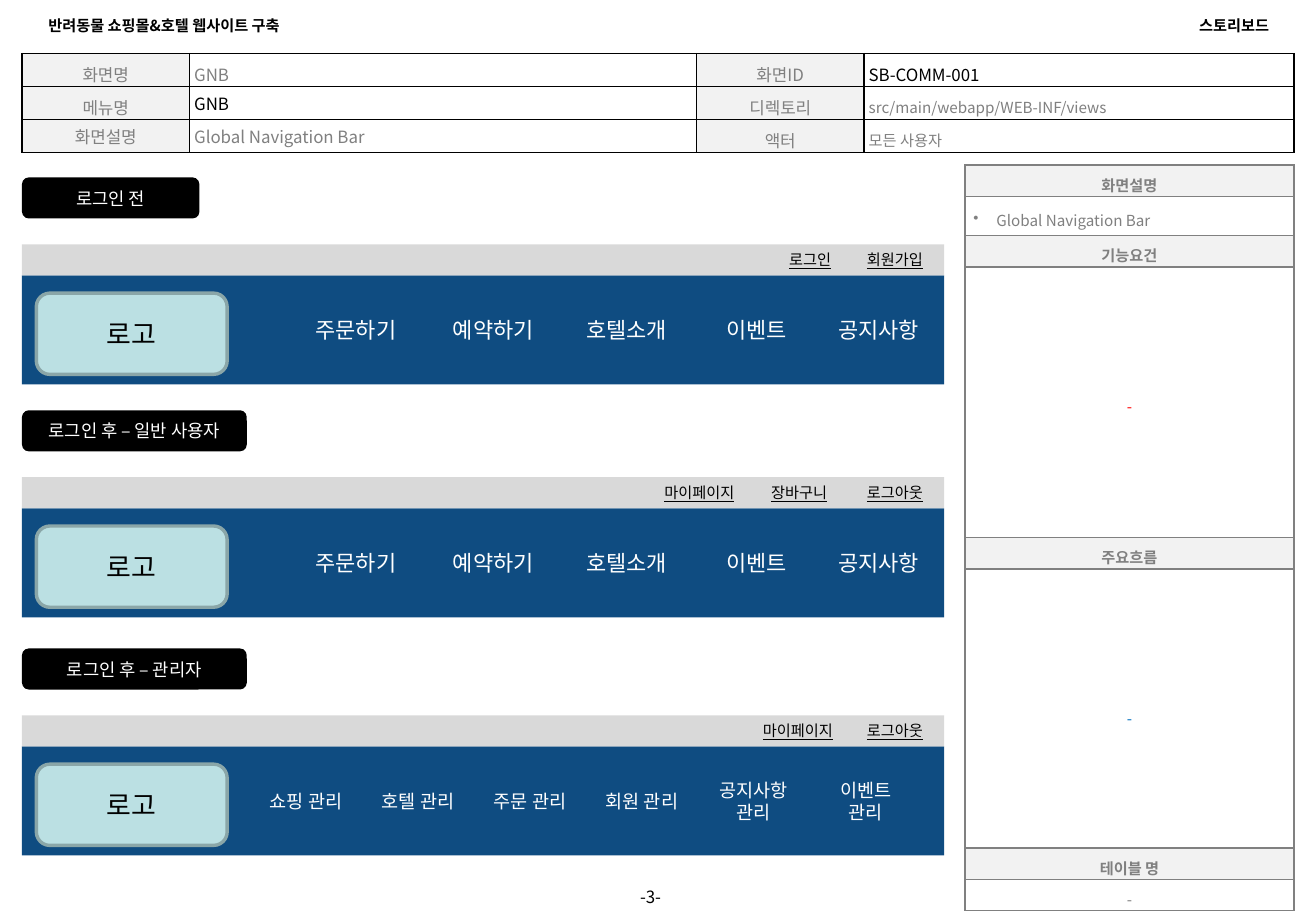
from lxml.etree import SubElement
from pptx import Presentation
from pptx.dml.color import RGBColor
from pptx.enum.shapes import MSO_SHAPE as SHAPE
from pptx.enum.text import MSO_ANCHOR as ANCHOR, MSO_AUTO_SIZE as AUTO, PP_ALIGN as ALIGN
from pptx.oxml.ns import qn
from pptx.util import Cm, Pt

FONT = "Noto Sans CJK KR"
COLORS = {
    "black": "000000", "white": "FFFFFF", "gray": "808080", "head": "F2F2F2",
    "strip": "D9D9D9", "navy": "0F4C81", "logo": "BBE0E3", "logo_line": "8AA6A8",
    "red": "FF0000", "blue": "0070C0",
}
LEFT = 0.46
BAR_W = 19.28

# Each entry: text, colour, size, space above the text in cm
INFO_ROWS = [
    [("화면명", "gray", 10, 0.16), ("GNB", "gray", 10, 0.16),
     ("화면ID", "gray", 10, 0.16), ("SB-COMM-001", "black", 10, 0.16)],
    [("메뉴명", "gray", 10, 0.16), ("GNB", "black", 10, 0),
     ("디렉토리", "gray", 10, 0.16), ("src/main/webapp/WEB-INF/views", "gray", 9, 0.16)],
    [("화면설명", "gray", 10, 0), ("Global Navigation Bar", "gray", 10, 0),
     ("액터", "gray", 10, 0.16), ("모든 사용자", "gray", 9, 0.16)],
]

# Each entry: text, colour, row height, kind
SPEC_ROWS = [
    ("화면설명", "gray", 0.66, "head"), ("Global Navigation Bar", "gray", 0.81, "bullet"),
    ("기능요건", "gray", 0.66, "head"), ("-", "red", 5.66, "body"),
    ("주요흐름", "gray", 0.66, "head"), ("-", "blue", 6.05, "body"),
]
TABLE_NAME_ROWS = [("테이블 명", "gray", 0.66, "head"), ("-", "gray", 0.66, "body")]

USER_MENU = [("주문하기", 6.25), ("예약하기", 9.12), ("호텔소개", 11.91),
             ("이벤트", 14.63), ("공지사항", 17.17)]
ADMIN_MENU = [(name, 5.21 + 2.34 * i) for i, name in enumerate(
    ["쇼핑 관리", "호텔 관리", "주문 관리", "회원 관리", "공지사항\n관리", "이벤트\n관리"])]

# Each entry: top, label, label width, links (text, left, width), menu, menu size
SECTIONS = [
    (3.71, "로그인 전", 3.71,
     [("로그인", 15.93, 2.01), ("회원가입", 17.7, 2.01)], USER_MENU, 13),
    (8.58, "로그인 후 – 일반 사용자", 4.7,
     [("마이페이지", 13.54, 2.16), ("장바구니", 15.7, 2.01), ("로그아웃", 17.7, 2.01)],
     USER_MENU, 13),
    (13.56, "로그인 후 – 관리자", 4.7,
     [("마이페이지", 15.6, 2.16), ("로그아웃", 17.7, 2.01)], ADMIN_MENU, 11),
]


def rgb(name):
    return RGBColor.from_string(COLORS[name])


def write(tf, text, size, color="black", align=ALIGN.CENTER, bold=False, underline=False):
    tf.text = text
    for p in tf.paragraphs:
        p.alignment = align
        for r in p.runs:
            r.font.size = Pt(size)
            r.font.bold = bold
            r.font.underline = underline
            r.font.color.rgb = rgb(color)
            r.font.name = FONT
            SubElement(r._r.get_or_add_rPr(), qn("a:ea"), typeface=FONT)


def format_frame(tf, side=0):
    tf.word_wrap = True
    tf.auto_size = AUTO.NONE
    tf.vertical_anchor = ANCHOR.MIDDLE
    tf.margin_left = tf.margin_right = Cm(side)
    tf.margin_top = tf.margin_bottom = 0


def add_text(s, box, text, size, side=0, **style):
    tf = s.shapes.add_textbox(*map(Cm, box)).text_frame
    format_frame(tf, side)
    write(tf, text, size, **style)


def add_box(s, kind, box, fill, text="", size=10, color="white", line=None):
    sp = s.shapes.add_shape(kind, *map(Cm, box))
    sp.shadow.inherit = False
    sp.fill.solid()
    sp.fill.fore_color.rgb = rgb(fill)
    if line:
        sp.line.color.rgb = rgb(line)
        sp.line.width = Pt(2)
    else:
        sp.line.fill.background()
    if text:
        format_frame(sp.text_frame)
        write(sp.text_frame, text, size, color)


def format_cell(cell, border, fill, side, above):
    cell.vertical_anchor = ANCHOR.MIDDLE
    cell.margin_left = cell.margin_right = Cm(side)
    cell.margin_top, cell.margin_bottom = Cm(above), 0
    tc_pr = cell._tc.get_or_add_tcPr()
    for edge in ("a:lnL", "a:lnR", "a:lnT", "a:lnB"):
        ln = SubElement(tc_pr, qn(edge), w=str(Pt(1)))
        SubElement(SubElement(ln, qn("a:solidFill")), qn("a:srgbClr"), val=COLORS[border])
    if fill:
        cell.fill.solid()
        cell.fill.fore_color.rgb = rgb(fill)
    else:
        cell.fill.background()


def add_grid(s, left, top, widths, heights):
    table = s.shapes.add_table(len(heights), len(widths), Cm(left), Cm(top),
                               Cm(sum(widths)), Cm(sum(heights))).table
    table.first_row = table.horz_banding = False
    for column, width in zip(table.columns, widths):
        column.width = Cm(width)
    for row, height in zip(table.rows, heights):
        row.height = Cm(height)
    return table


def add_info_table(s):
    table = add_grid(s, LEFT, 1.12, [3.5, 10.6, 3.5, 8.99], [0.69] * 3)
    for i, row in enumerate(INFO_ROWS):
        for j, (text, color, size, above) in enumerate(row):
            is_label = j % 2 == 0
            cell = table.cell(i, j)
            format_cell(cell, "black", "head" if is_label else None, 0.1, above)
            write(cell.text_frame, text, size, color, ALIGN.CENTER if is_label else ALIGN.LEFT)


def add_spec_table(s, top, rows):
    table = add_grid(s, 20.17, top, [6.88], [row[2] for row in rows])
    for i, (text, color, _, kind) in enumerate(rows):
        cell = table.cell(i, 0)
        format_cell(cell, "gray", "head" if kind == "head" else None, 0.18, 0.16)
        bullet = kind == "bullet"
        write(cell.text_frame, text, 9, color, ALIGN.LEFT if bullet else ALIGN.CENTER,
              bold=kind == "head")
        if bullet:
            p_pr = cell.text_frame.paragraphs[0]._p.get_or_add_pPr()
            p_pr.set("marL", str(Cm(0.48)))
            p_pr.set("indent", str(-Cm(0.48)))
            SubElement(p_pr, qn("a:buChar"), char="•")


def add_section(s, top, label, label_w, links, menu, menu_size):
    add_box(s, SHAPE.ROUNDED_RECTANGLE, (LEFT, top, label_w, 0.86), "black", label, 10.5)
    add_box(s, SHAPE.RECTANGLE, (LEFT, top + 2.05, BAR_W, 2.28), "navy")
    add_box(s, SHAPE.RECTANGLE, (LEFT, top + 1.4, BAR_W, 0.65), "strip")
    for text, left, width in links:
        add_text(s, (left, top + 1.4, width, 0.64), text, 9, underline=True)
    add_box(s, SHAPE.ROUNDED_RECTANGLE, (0.76, top + 2.42, 3.99, 1.7), "logo",
            "로고", 16, "black", "logo_line")
    for text, left in menu:
        add_box(s, SHAPE.RECTANGLE, (left, top + 2.6, 2.38, 1.19), "navy", text, menu_size)


def main():
    prs = Presentation()
    prs.slide_width, prs.slide_height = Cm(27.51), Cm(19.05)
    s = prs.slides.add_slide(prs.slide_layouts[5])

    # Running head and page number
    title = s.shapes.title
    title.left, title.top, title.width, title.height = map(Cm, (0.76, 0.22, 7.6, 0.64))
    format_frame(title.text_frame, 0.25)
    write(title.text_frame, "반려동물 쇼핑몰&호텔 웹사이트 구축", 9, align=ALIGN.LEFT, bold=True)
    add_text(s, (19.18, 0.22, 7.6, 0.64), "스토리보드", 9, 0.25, align=ALIGN.RIGHT, bold=True)
    add_text(s, (12.6, 18.55, 2, 0.42), "-3-", 10)

    # Screen information and specification
    add_info_table(s)
    add_spec_table(s, 3.45, SPEC_ROWS)
    add_spec_table(s, 17.73, TABLE_NAME_ROWS)

    # Navigation bar for each kind of visitor
    for section in SECTIONS:
        add_section(s, *section)

    prs.save("out.pptx")


if __name__ == "__main__":
    main()
